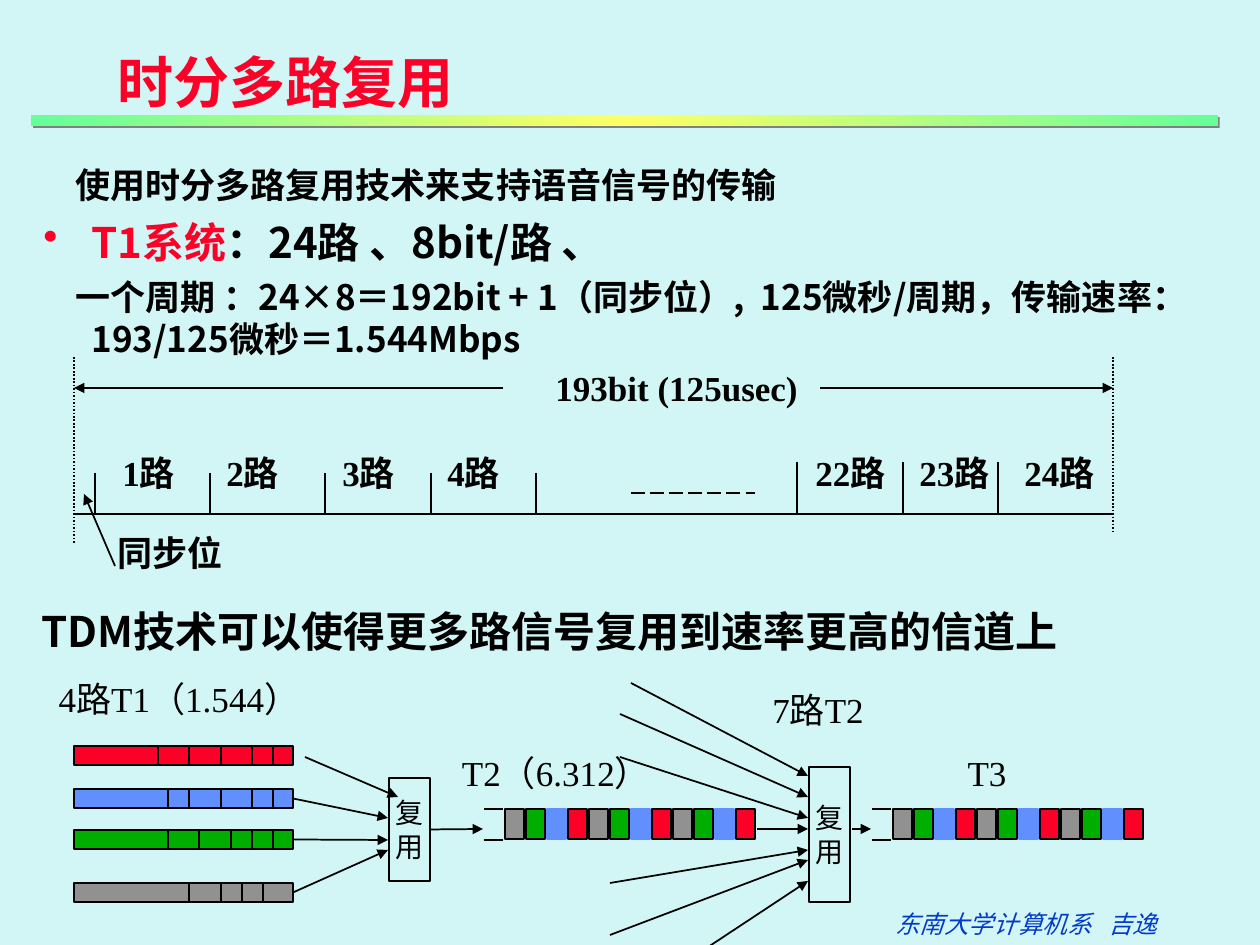
import pptx
import pptx.util
import pptx.dml.color
import pptx.enum.dml
import pptx.enum.shapes
import pptx.enum.text
import pptx.oxml.ns
from copy import deepcopy
from lxml import etree

PX = 914400 / 126
SANS, SERIF = "Noto Sans CJK SC", "Times New Roman"
COLORS = {
    "bg": "D2F6F5", "black": "000000", "red": "FC0128", "blue": "618FFD",
    "green": "00AE00", "grey": "919191", "footer": "023BCA",
    "mint": "66FF99", "yellow": "FFFF66", "shadow": "808080",
}
ALIGN = pptx.enum.text.PP_ALIGN
DASH = pptx.enum.dml.MSO_LINE
qn = pptx.oxml.ns.qn


def px(n):
    return pptx.util.Emu(round(n * PX))


def rgb(name):
    return pptx.dml.color.RGBColor.from_string(COLORS[name])


def add_run(p, text, size, color="black", font=SERIF, bold=False, italic=False):
    r = p.add_run()
    r.text = text
    r.font.size = pptx.util.Pt(size)
    r.font.bold, r.font.italic = bold, italic
    r.font.color.rgb = rgb(color)
    r.font.name = font
    etree.SubElement(r._r.get_or_add_rPr(), qn("a:ea")).set("typeface", SANS)
    p.line_spacing = pptx.util.Pt(round(size * 1.2))


def add_text(slide, box, text, size=20, center=False, **style):
    s = slide.shapes.add_textbox(*map(px, box))
    tf = s.text_frame
    tf.word_wrap = True
    p = tf.paragraphs[0]
    if center:
        tf.vertical_anchor = pptx.enum.text.MSO_ANCHOR.MIDDLE
        p.alignment = ALIGN.CENTER
    add_run(p, text, size, **style)
    return p


def add_rect(slide, box, fill=None, line="black"):
    s = slide.shapes.add_shape(pptx.enum.shapes.MSO_SHAPE.RECTANGLE, *map(px, box))
    s.shadow.inherit = False
    if fill:
        s.fill.solid()
        s.fill.fore_color.rgb = rgb(fill)
    else:
        s.fill.background()
    s.line.color.rgb = rgb(line)
    s.line.width = pptx.util.Pt(1)
    return s


def add_line(slide, x1, y1, x2, y2, arrow=False, dash=None, source=None):
    c = slide.shapes.add_connector(
        pptx.enum.shapes.MSO_CONNECTOR.STRAIGHT, *map(px, (x1, y1, x2, y2)))
    if source is not None:
        c.begin_connect(source, 3)
    c.line.color.rgb = rgb("black")
    c.line.width = pptx.util.Pt(1)
    if dash:
        c.line.dash_style = dash
    if arrow:
        etree.SubElement(c.line._get_or_add_ln(), qn("a:tailEnd")).set("type", "triangle")
    etree.SubElement(c._element.spPr, qn("a:effectLst"))


def add_title_bar(slide):
    s = add_rect(slide, (31, 115, 1187, 11))
    s.line.fill.background()
    # Mint at both ends, yellow in the middle
    s.fill.gradient()
    s.fill.gradient_angle = 0
    for stop, name in zip(s.fill.gradient_stops, ("mint", "yellow")):
        stop.color.rgb = rgb(name)
    first, middle = s._element.spPr.iter(qn("a:gs"))
    last = deepcopy(first)
    middle.addnext(last)
    for gs, pos in ((first, 0), (middle, 50000), (last, 100000)):
        gs.set("pos", str(pos))
    # Hard shadow to the lower right
    effects = s._element.spPr.find(qn("a:effectLst"))
    shadow = etree.SubElement(effects, qn("a:outerShdw"), dist="17960", dir="2700000")
    etree.SubElement(shadow, qn("a:srgbClr")).set("val", COLORS["shadow"])


def add_body(slide):
    s = slide.shapes.add_textbox(*map(px, (31, 157, 1148, 210)))
    tf = s.text_frame
    tf.word_wrap = True
    rows = [
        (20, 0, -16, [("使用时分多路复用技术来支持语音信号的传输", "black")]),
        (24, 6, -48, [("T1系统", "red"), ("：24路 、8bit/路 、", "black")]),
        (20, 5, -16, [("一个周期 ：24×8＝192bit + 1（同步位）,  125微秒/周期，传输"
                       "速率：193/125微秒＝1.544Mbps", "black")]),
    ]
    for i, (size, before, indent, runs) in enumerate(rows):
        p = tf.paragraphs[0] if i == 0 else tf.add_paragraph()
        pPr = p._p.get_or_add_pPr()
        pPr.set("marL", str(px(48)))
        pPr.set("indent", str(px(indent)))
        if size == 24:
            color = etree.SubElement(pPr, qn("a:buClr"))
            etree.SubElement(color, qn("a:srgbClr")).set("val", COLORS["red"])
            etree.SubElement(pPr, qn("a:buChar")).set("char", "•")
        if before:
            p.space_before = pptx.util.Pt(before)
        for text, name in runs:
            add_run(p, text, size, name, SANS, bold=True)


def add_frame_diagram(slide):
    # Base line, dotted limits and slot borders
    add_line(slide, 74, 514, 1113, 514)
    add_line(slide, 74, 357, 74, 544, dash=DASH.ROUND_DOT)
    add_line(slide, 1113, 357, 1113, 534, dash=DASH.ROUND_DOT)
    for top, xs in ((473, (95, 210, 325, 431, 536)), (462, (797, 903, 998))):
        for x in xs:
            add_line(slide, x, top, x, 513)
    add_line(slide, 631, 493, 755, 493, dash=DASH.LONG_DASH)
    # Slot names
    slots = ((1, 110), (2, 214), (3, 330), (4, 435), (22, 803), (23, 907), (24, 1012))
    for number, x in slots:
        add_text(slide, (x, 445, 130, 54), f"{number}路", bold=True)
    # Sync bit and frame length
    add_line(slide, 115, 566, 84, 494, arrow=True)
    add_text(slide, (105, 525, 150, 54), "同步位", bold=True)
    add_line(slide, 503, 388, 74, 388, arrow=True)
    add_line(slide, 820, 388, 1113, 388, arrow=True)
    add_text(slide, (543, 360, 300, 54), "193bit (125usec)", bold=True)


def add_mux(slide, box):
    s = add_rect(slide, box)
    tf = s.text_frame
    tf.word_wrap = False
    tf.vertical_anchor = pptx.enum.text.MSO_ANCHOR.MIDDLE
    for i, char in enumerate("复用"):
        p = tf.paragraphs[0] if i == 0 else tf.add_paragraph()
        p.alignment = ALIGN.CENTER
        add_run(p, char, 16)
    return s


def add_stream(slide, left):
    for y in (809, 840):
        add_line(slide, left - 21, y, left - 2, y)
    for i in range(12):
        name = ("grey", "green", "blue", "red")[i % 4]
        add_rect(slide, (left + 21 * i, 809, 19, 30), name,
                 "blue" if name == "blue" else "black")


def add_hierarchy(slide):
    # Four T1 inputs: colour, top, dividers, arrow start and end
    inputs = [
        ("red", 746, (158, 189, 221, 252, 273), (305, 757, 398, 797)),
        ("blue", 789, (168, 189, 221, 252, 273), (295, 799, 388, 818)),
        ("green", 830, (168, 199, 231, 252, 273), (295, 840, 388, 840)),
        ("grey", 883, (189, 221, 242, 263), (295, 893, 388, 850)),
    ]
    for name, y, dividers, arrow in inputs:
        bar = add_rect(slide, (74, y, 219, 19), name)
        for x in dividers:
            add_line(slide, x, y, x, y + 19)
        add_line(slide, *arrow, arrow=True, source=None if name == "red" else bar)
    # First multiplexer and T2
    mux = add_mux(slide, (389, 778, 41, 103))
    add_line(slide, 431, 829, 483, 829, arrow=True, source=mux)
    add_stream(slide, 505)
    # Seven T2 inputs, second multiplexer and T3
    for start, end_y in (((631, 683), 776), ((620, 714), 797), ((620, 757), 818),
                         ((757, 829), 829), ((610, 883), 850), ((610, 935), 860),
                         ((631, 998), 881)):
        add_line(slide, *start, 808, end_y, arrow=True)
    add_mux(slide, (809, 767, 41, 135))
    add_line(slide, 852, 829, 871, 829, arrow=True)
    add_stream(slide, 893)
    # Rate labels, each centred on its column
    for center, y, width, text in ((179, 672, 340, "4路T1（1.544）"),
                                   (556, 746, 280, "T2（6.312）"),
                                   (818, 683, 180, "7路T2"),
                                   (987, 746, 148, "T3")):
        add_text(slide, (center - width // 2, y, width, 53), text, center=True)


def main():
    prs = pptx.Presentation()
    prs.slide_width, prs.slide_height = px(1260), px(945)
    slide = prs.slides.add_slide(prs.slide_layouts[6])
    slide.background.fill.solid()
    slide.background.fill.fore_color.rgb = rgb("bg")

    # Title and text
    add_title_bar(slide)
    add_text(slide, (105, 42, 742, 81), "时分多路复用", 32,
             color="red", font=SANS, bold=True)
    add_body(slide)

    # Diagrams
    add_frame_diagram(slide)
    add_text(slide, (29, 599, 1100, 63), "TDM技术可以使得更多路信号复用到速率更高的信道上",
             24, font=SANS, bold=True)
    add_hierarchy(slide)

    # Footer, with the author at a tab stop
    p = add_text(slide, (883, 902, 300, 43), "东南大学计算机系\t吉逸", 14,
                 color="footer", italic=True)
    tabs = etree.SubElement(p._p.get_or_add_pPr(), qn("a:tabLst"))
    etree.SubElement(tabs, qn("a:tab"), pos=str(px(213)), algn="l")

    prs.save("out.pptx")


if __name__ == "__main__":
    main()
